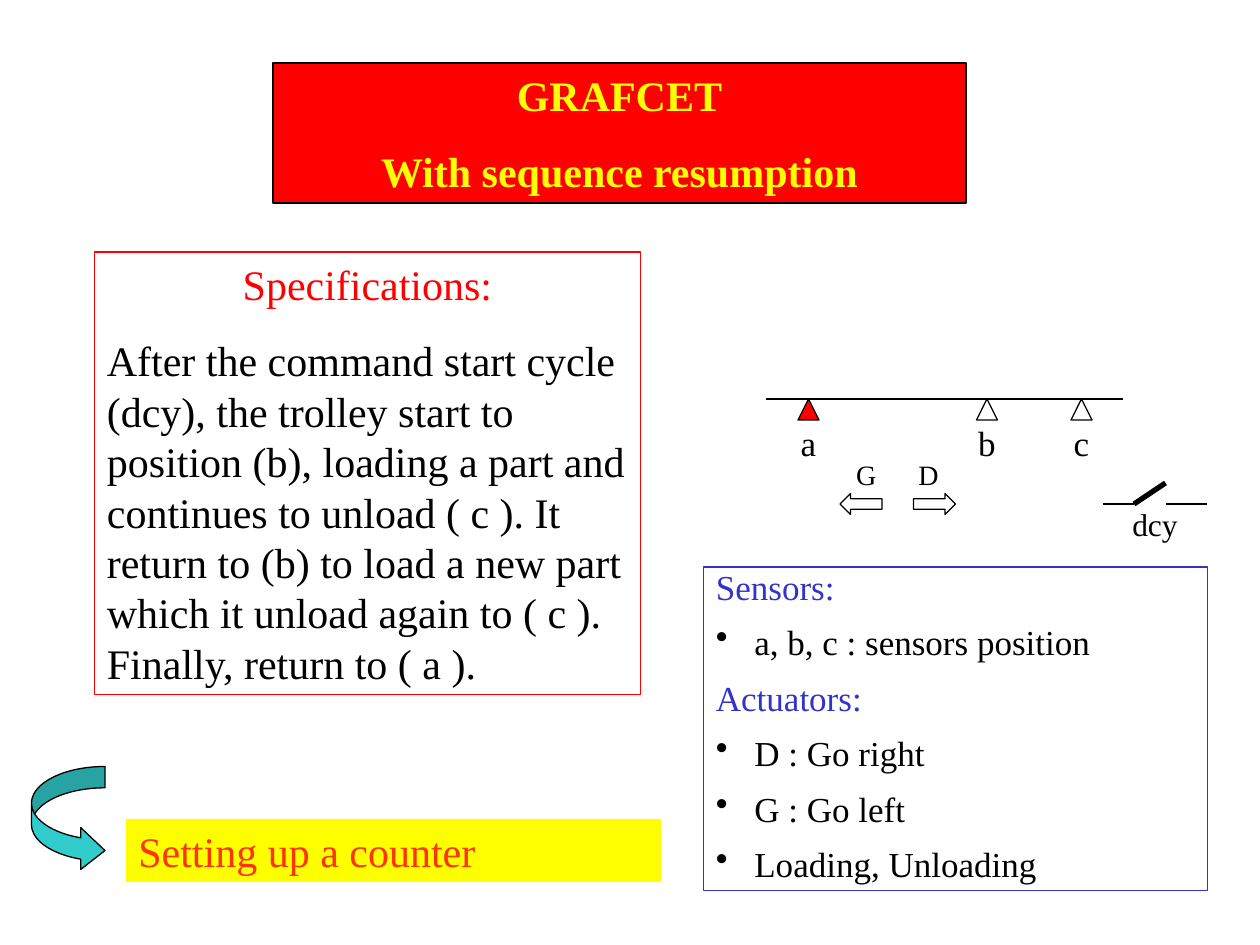
from dataclasses import dataclass

import lxml.etree
import pptx
import pptx.dml.color
import pptx.enum.shapes
import pptx.enum.text
import pptx.oxml.ns
import pptx.util

Pt = pptx.util.Pt
SHAPE = pptx.enum.shapes.MSO_SHAPE
ALIGN = pptx.enum.text.PP_ALIGN
qn = pptx.oxml.ns.qn


@dataclass(frozen=True)
class Theme:
    font: str = "Times New Roman"
    black: str = "000000"
    red: str = "FF0000"
    yellow: str = "FFFF00"
    blue: str = "3333CC"
    teal: str = "33CCCC"
    orange: str = "FF3300"
    heading: int = 24
    body: int = 20
    switch: int = 18
    direction: int = 16
    thin: float = 0.75
    thick: float = 3


T = Theme()


def rgb(value):
    return pptx.dml.color.RGBColor.from_string(value)


def add_shape(s, kind, box, fill=None, line=T.black):
    sp = s.shapes.add_shape(kind, *map(Pt, box))
    sp.shadow.inherit = False
    if fill:
        sp.fill.solid()
        sp.fill.fore_color.rgb = rgb(fill)
    else:
        sp.fill.background()
    if line:
        sp.line.color.rgb = rgb(line)
        sp.line.width = Pt(T.thin)
    else:
        sp.line.fill.background()
    return sp


def add_line(s, x1, y1, x2, y2, width=T.thin):
    ln = s.shapes.add_connector(
        pptx.enum.shapes.MSO_CONNECTOR.STRAIGHT, *map(Pt, (x1, y1, x2, y2)))
    ln.line.color.rgb = rgb(T.black)
    ln.line.width = Pt(width)
    lxml.etree.SubElement(ln._element.spPr, qn("a:effectLst"))


def set_margins(tf, x, y):
    tf.margin_left = tf.margin_right = Pt(x)
    tf.margin_top = tf.margin_bottom = Pt(y)
    tf.word_wrap = True
    tf.vertical_anchor = pptx.enum.text.MSO_ANCHOR.TOP


def add_paragraph(tf, i, text, size, color, align=ALIGN.LEFT, bold=False):
    p = tf.add_paragraph() if i else tf.paragraphs[0]
    p.text = text
    p.alignment = align
    p.space_before = Pt(size * 0.625)
    p.font.name = T.font
    p.font.size = Pt(size)
    p.font.bold = bold
    p.font.color.rgb = rgb(color)
    return p


def add_bullet(p, indent):
    pPr = p._p.get_or_add_pPr()
    pPr.set("marL", str(Pt(indent)))
    pPr.set("indent", str(-Pt(indent)))
    clr = lxml.etree.Element(qn("a:buClr"))
    lxml.etree.SubElement(clr, qn("a:srgbClr"), val=T.black)
    char = lxml.etree.Element(qn("a:buChar"), char="•")
    at = pPr.index(pPr.find(qn("a:defRPr")))
    pPr.insert(at, clr)
    pPr.insert(at + 1, char)


def add_panel(s, box, fill, line):
    tf = add_shape(s, SHAPE.RECTANGLE, box, fill, line).text_frame
    set_margins(tf, 7.2, 3.6)
    return tf


def add_label(s, box, text, size):
    tf = s.shapes.add_textbox(*map(Pt, box)).text_frame
    set_margins(tf, 1.44, 0.72)
    add_paragraph(tf, 0, text, size, T.black, ALIGN.CENTER)


def add_title(s, box):
    tf = add_panel(s, box, T.red, T.black)
    for i, text in enumerate(("GRAFCET", "With sequence resumption")):
        add_paragraph(tf, i, text, T.heading, T.yellow, ALIGN.CENTER, True)


def add_specifications(s, box):
    tf = add_panel(s, box, None, T.red)
    add_paragraph(tf, 0, "Specifications:", T.heading, T.red, ALIGN.CENTER)
    add_paragraph(
        tf, 1,
        "After the command start cycle (dcy), the trolley start to position (b), "
        "loading a part and continues to unload ( c ). It return to (b) to load "
        "a new part which it unload again to ( c ). Finally, return to ( a ).",
        T.heading, T.black)


def add_track(s, box):
    x, y, w, h = box
    add_line(s, x, y, x + w, y)
    for name, dx, fill in (("a", 24, T.red), ("b", 126, None), ("c", 180, None)):
        add_shape(s, SHAPE.ISOSCELES_TRIANGLE, (x + dx - 6, y, 12, 12), fill)
        add_label(s, (x + dx - 12, y + 12, 24, 26), name, T.body)
    for name, kind, dx, shift in (("G", SHAPE.LEFT_ARROW, 42, 3),
                                  ("D", SHAPE.RIGHT_ARROW, 84, -3.5)):
        add_shape(s, kind, (x + dx, y + h - 12, 24, 12))
        add_label(s, (x + dx + shift, y + h - 33, 24, 20), name, T.direction)


def add_switch(s, box):
    x, y, w, h = box
    base = y + 12
    add_line(s, x, base, x + 18, base)
    add_line(s, x + 36, base, x + w, base)
    add_line(s, x + 18, base, x + 36, y, T.thick)
    add_label(s, (x + 6, base, w - 12, h - 12), "dcy", T.switch)


def add_devices(s, box):
    tf = add_panel(s, box, None, T.blue)
    groups = {
        "Sensors:": ["a, b, c : sensors position"],
        "Actuators:": ["D : Go right", "G : Go left", "Loading, Unloading"],
    }
    i = 0
    for name, items in groups.items():
        for text in (name, *items):
            is_item = text != name
            p = add_paragraph(tf, i, text, T.body, T.black if is_item else T.blue)
            p.line_spacing = 0.8
            if is_item:
                add_bullet(p, 22)
            i += 1


def add_counter(s, box):
    x, y, w, h = box
    sp = add_shape(s, SHAPE.CURVED_RIGHT_ARROW, (x, y, 42, h), T.teal)
    for i, value in enumerate((0.29, 0.57, 0.33)):
        sp.adjustments[i] = value
    tf = add_panel(s, (x + 54, y + 30, w - 54, 36), T.yellow, None)
    add_paragraph(tf, 0, "Setting up a counter", T.heading, T.orange)


def main():
    prs = pptx.Presentation()
    prs.slide_width, prs.slide_height = Pt(720), Pt(540)
    s = prs.slides.add_slide(prs.slide_layouts[6])
    add_title(s, (156, 36, 396, 80))
    add_specifications(s, (54, 144, 312, 253))
    add_track(s, (438, 228, 204, 66))
    add_switch(s, (630, 276, 60, 35))
    add_devices(s, (402, 324, 288, 185))
    add_counter(s, (18, 438, 360, 60))
    prs.save("out.pptx")


if __name__ == "__main__":
    main()
